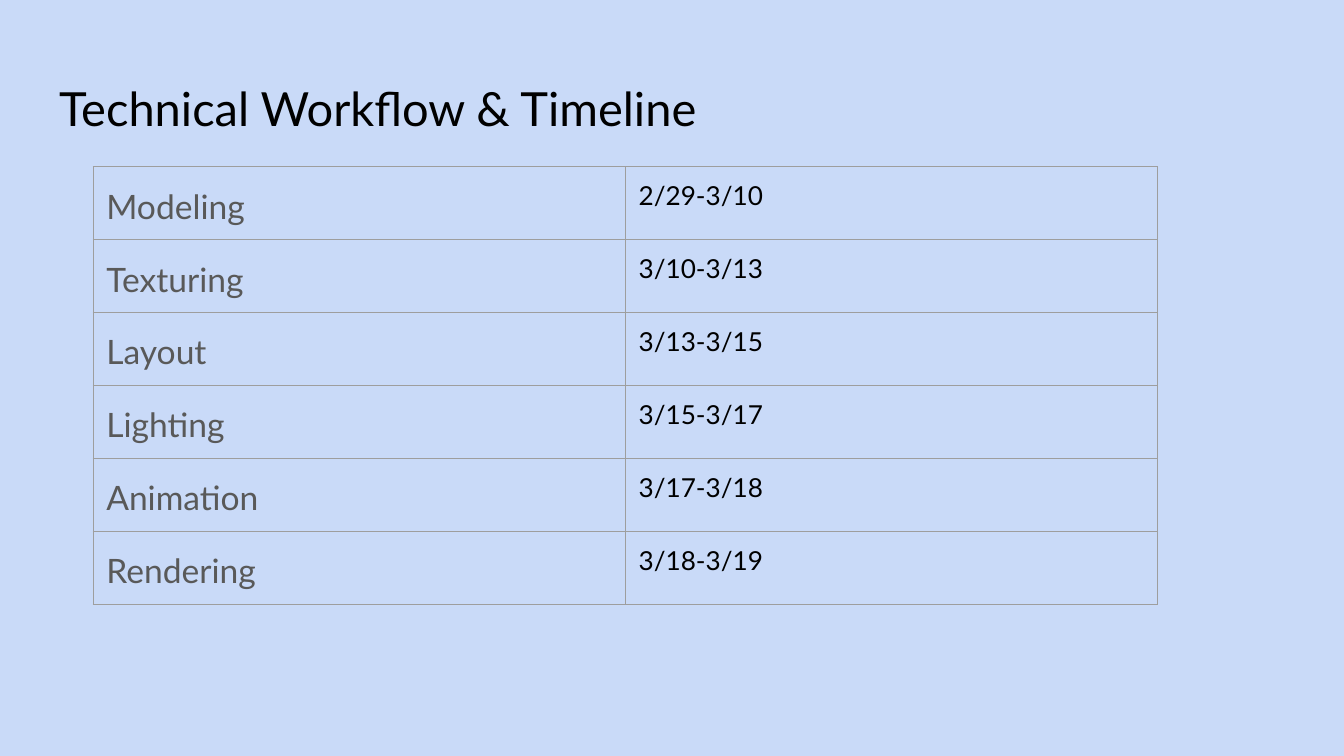
from dataclasses import dataclass

from lxml import etree
from pptx import Presentation
from pptx.dml.color import RGBColor
from pptx.enum.text import MSO_ANCHOR
from pptx.oxml.ns import qn
from pptx.slide import Slide
from pptx.table import _Cell
from pptx.text.text import _Paragraph
from pptx.util import Cm, Pt

TOP = MSO_ANCHOR.TOP
MIDDLE = MSO_ANCHOR.MIDDLE
FONT = "Lato"
COLOURS = {
    "background": "C9DAF8",
    "text": "000000",
    "stage": "595959",
    "border": "9E9E9E",
}
INSET = Cm(0.25)
BORDER_WIDTH = Pt(0.75)
COLUMN_WIDTH = Cm(10.06)
ROW_HEIGHT = Cm(1.38)


@dataclass(frozen=True)
class Stage:
    name: str
    dates: str


STAGES = [
    Stage("Modeling", "2/29-3/10"),
    Stage("Texturing", "3/10-3/13"),
    Stage("Layout", "3/13-3/15"),
    Stage("Lighting", "3/15-3/17"),
    Stage("Animation", "3/17-3/18"),
    Stage("Rendering", "3/18-3/19"),
]


def write(paragraph: _Paragraph, text: str, size: float, colour: str) -> None:
    paragraph.text = text
    for run in paragraph.runs:
        run.font.name = FONT
        run.font.size = Pt(size)
        run.font.color.rgb = RGBColor.from_string(COLOURS[colour])


def add_borders(cell: _Cell) -> None:
    properties = cell._tc.get_or_add_tcPr()
    for position, side in enumerate(("lnL", "lnR", "lnT", "lnB")):
        line = etree.Element(qn(f"a:{side}"), w=str(BORDER_WIDTH))
        fill = etree.SubElement(line, qn("a:solidFill"))
        etree.SubElement(fill, qn("a:srgbClr"), val=COLOURS["border"])
        properties.insert(position, line)


def fill_cell(cell: _Cell, text: str, size: float, colour: str) -> None:
    cell.margin_left = cell.margin_right = INSET
    cell.margin_top = cell.margin_bottom = INSET
    cell.vertical_anchor = TOP
    cell.fill.background()
    add_borders(cell)
    write(cell.text_frame.paragraphs[0], text, size, colour)


def add_title(slide: Slide, text: str) -> None:
    title = slide.shapes.add_textbox(Cm(0.87), Cm(1.24), Cm(23.67), Cm(1.6))
    frame = title.text_frame
    frame.word_wrap = True
    frame.vertical_anchor = MIDDLE
    frame.margin_left = frame.margin_right = INSET
    frame.margin_top = frame.margin_bottom = INSET
    write(frame.paragraphs[0], text, 25.2, "text")


def add_timeline(slide: Slide, stages: list[Stage]) -> None:
    timeline = slide.shapes.add_table(
        len(stages), 2, Cm(1.76), Cm(3.15), 2 * COLUMN_WIDTH, len(stages) * ROW_HEIGHT
    ).table
    timeline.first_row = False
    timeline.horz_banding = False
    for column in timeline.columns:
        column.width = COLUMN_WIDTH
    for index, stage in enumerate(stages):
        timeline.rows[index].height = ROW_HEIGHT
        name_cell = timeline.cell(index, 0)
        fill_cell(name_cell, stage.name, 18, "stage")
        name = name_cell.text_frame.paragraphs[0]
        name.line_spacing = 1.15
        name.space_after = Pt(12)
        fill_cell(timeline.cell(index, 1), stage.dates, 14, "text")


def main() -> None:
    presentation = Presentation()
    presentation.slide_width = Cm(25.4)
    presentation.slide_height = Cm(14.29)
    slide = presentation.slides.add_slide(presentation.slide_layouts[6])
    background = slide.background.fill
    background.solid()
    background.fore_color.rgb = RGBColor.from_string(COLOURS["background"])
    add_title(slide, "Technical Workflow & Timeline")
    add_timeline(slide, STAGES)
    presentation.save("out.pptx")


if __name__ == "__main__":
    main()
